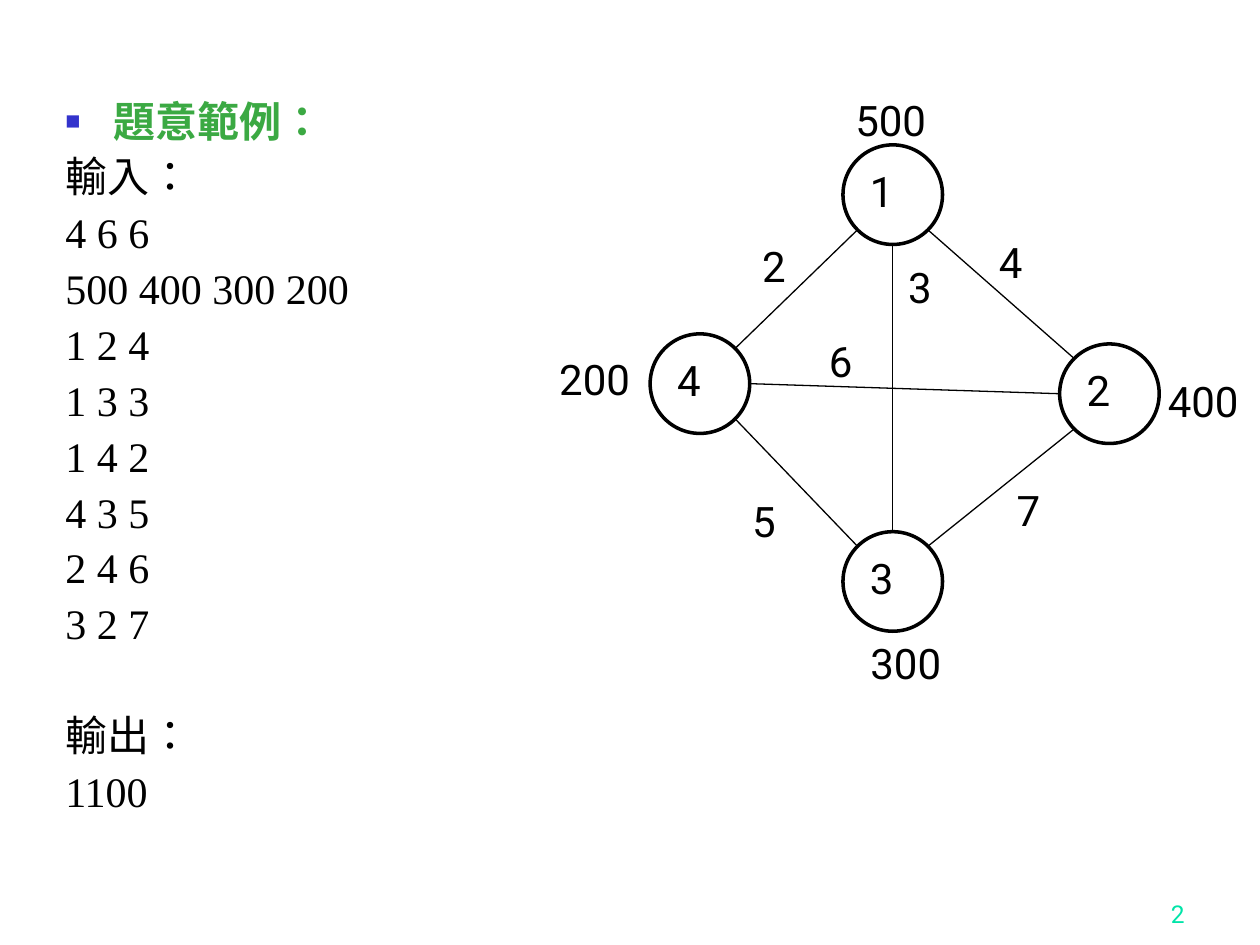
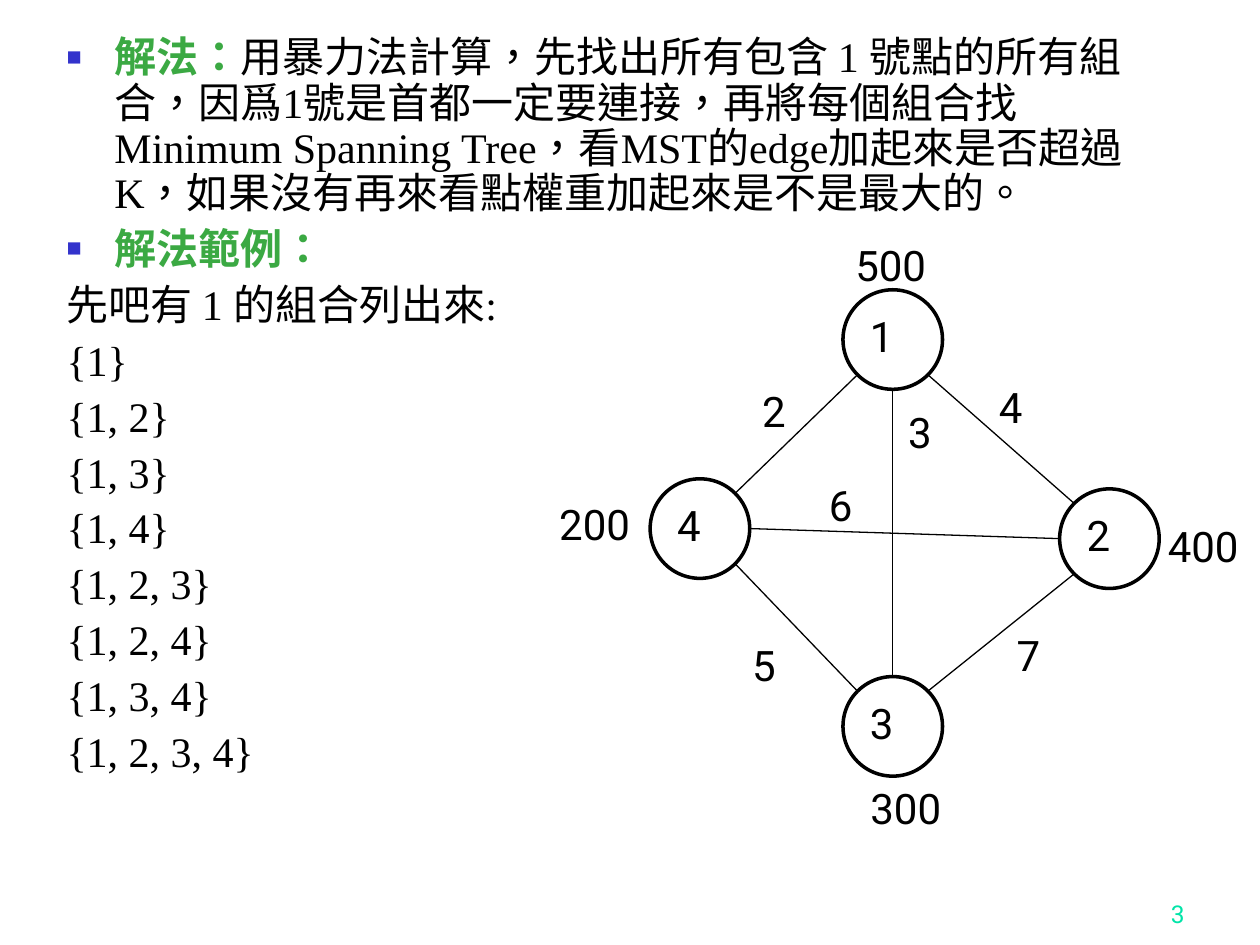
"""Build two slides that explain a weighted graph problem with an example."""
from dataclasses import dataclass

from lxml.etree import SubElement
from pptx import Presentation
from pptx.dml.color import RGBColor
from pptx.enum.lang import MSO_LANGUAGE_ID
from pptx.enum.shapes import MSO_CONNECTOR, MSO_SHAPE
from pptx.enum.text import MSO_ANCHOR, PP_ALIGN
from pptx.oxml.ns import qn
from pptx.util import Inches, Pt


@dataclass(frozen=True)
class Theme:
    ink: str = "000000"
    paper: str = "FFFFFF"
    heading: str = "3BA943"
    bullet: str = "3333CC"
    number: str = "00E4A8"
    body_font: str = "Times New Roman"
    label_font: str = "Roboto"
    text_size: int = 24
    number_size: int = 14
    node_line: float = 2
    edge_line: float = 0.75


theme = Theme()


def add_span(para, text, color=theme.ink, font=theme.label_font, size=theme.text_size, bold=False,
             align=PP_ALIGN.LEFT):
    para.alignment = align
    span = para.add_run()
    span.text = text
    span.font.name = font
    span.font.size = Pt(size)
    span.font.bold = bold
    span.font.color.rgb = RGBColor.from_string(color)
    span.font.language_id = MSO_LANGUAGE_ID.TRADITIONAL_CHINESE


def add_box(page, left, top, width, height):
    box = page.shapes.add_textbox(Inches(left), Inches(top), Inches(width), Inches(height))
    box.text_frame.word_wrap = True
    return box


slides = [
    {
        "number": "2",
        "body": (0.42, 0.75, 8.83, 6.15),
        "graph_top": 0.7,
        "lines": [
            ("題意範例：", ""),
            *[("", line) for line in (
                "輸入：", "4 6 6", "500 400 300 200", "1 2 4", "1 3 3", "1 4 2",
                "4 3 5", "2 4 6", "3 2 7", "輸出：", "1100")],
        ],
    },
    {
        "number": "3",
        "body": (0.43, 0.24, 8.82, 6.66),
        "graph_top": 1.85,
        "lines": [
            ("解法：", "用暴力法計算，先找出所有包含 1 號點的所有組合，因爲1號是首都一定要連接，"
                     "再將每個組合找Minimum Spanning Tree，看MST的edge加起來是否超過 K，"
                     "如果沒有再來看點權重加起來是不是最大的。"),
            ("解法範例：", ""),
            *[("", line) for line in (
                "先吧有 1 的組合列出來:", "{1}", "{1, 2}", "{1, 3}", "{1, 4}",
                "{1, 2, 3}", "{1, 2, 4}", "{1, 3, 4}", "{1, 2, 3, 4}")],
        ],
    },
]

indent = 0.38
line_gap = 6
section_gap = 38
node_size = 0.79
diagonal = 0.71
nodes = {"1": (6.69, 0.45), "4": (5.16, 1.95), "3": (6.69, 3.52), "2": (8.41, 2.03)}
edges = [
    ("1", (diagonal, diagonal), "2"),
    ("1", (0, 1), "3"),
    ("1", (-diagonal, diagonal), "4"),
    ("4", (diagonal, diagonal), "3"),
    ("2", (-1, 0), "4"),
    ("3", (diagonal, -diagonal), "2"),
]
labels = [
    ("500", 6.69, 0, 1), ("200", 4.34, 2.06, 1), ("300", 6.81, 4.31, 1), ("400", 9.17, 2.23, 1),
    ("4", 7.83, 1.13, 1), ("2", 5.95, 1.16, 0.49), ("5", 5.87, 3.18, 0.49),
    ("6", 6.48, 1.91, 0.49), ("3", 7.11, 1.33, 0.49), ("7", 7.97, 3.1, 0.49),
]

deck = Presentation()
deck.slide_width = Inches(10)
deck.slide_height = Inches(7.5)

for content in slides:
    page = deck.slides.add_slide(deck.slide_layouts[6])
    page.background.fill.solid()
    page.background.fill.fore_color.rgb = RGBColor.from_string(theme.paper)

    number_box = add_box(page, 7.42, 6.92, 2.08, 0.5)
    number_box.text_frame.vertical_anchor = MSO_ANCHOR.BOTTOM
    add_span(number_box.text_frame.paragraphs[0], content["number"], color=theme.number,
             size=theme.number_size, align=PP_ALIGN.RIGHT)

    body = add_box(page, *content["body"]).text_frame
    for position, (heading, text) in enumerate(content["lines"]):
        para = body.add_paragraph() if position else body.paragraphs[0]
        para.line_spacing = 0.9
        if position:
            para.space_before = Pt(section_gap if text == "輸出：" else line_gap)
        settings = para._p.get_or_add_pPr()
        settings.set("marL", str(Inches(indent)))
        settings.set("indent", str(-Inches(indent)))
        if heading:
            bullet_color = SubElement(settings, qn("a:buClr"))
            SubElement(bullet_color, qn("a:srgbClr"), val=theme.bullet)
            SubElement(settings, qn("a:buSzPct"), val="60000")
            SubElement(settings, qn("a:buFont"), typeface=theme.body_font)
            SubElement(settings, qn("a:buChar"), char="■")
            add_span(para, heading, color=theme.heading, font=theme.body_font, bold=True)
        if text:
            add_span(para, text, font=theme.body_font)

    graph_top = content["graph_top"]
    for name, (left, top) in nodes.items():
        node = page.shapes.add_shape(MSO_SHAPE.OVAL, Inches(left), Inches(graph_top + top),
                                     Inches(node_size), Inches(node_size))
        node.shadow.inherit = False
        node.fill.solid()
        node.fill.fore_color.rgb = RGBColor.from_string(theme.paper)
        node.line.color.rgb = RGBColor.from_string(theme.ink)
        node.line.width = Pt(theme.node_line)
        node.text_frame.word_wrap = False
        node.text_frame.vertical_anchor = MSO_ANCHOR.TOP
        add_span(node.text_frame.paragraphs[0], name)

    radius = node_size / 2
    for start, (across, down), end in edges:
        start_left, start_top = nodes[start]
        end_left, end_top = nodes[end]
        edge = page.shapes.add_connector(
            MSO_CONNECTOR.STRAIGHT,
            Inches(start_left + radius * (1 + across)),
            Inches(graph_top + start_top + radius * (1 + down)),
            Inches(end_left + radius * (1 - across)),
            Inches(graph_top + end_top + radius * (1 - down)))
        edge.line.color.rgb = RGBColor.from_string(theme.ink)
        edge.line.width = Pt(theme.edge_line)
        SubElement(edge._element.spPr, qn("a:effectLst"))

    for text, left, top, width in labels:
        label = add_box(page, left, graph_top + top, width, 0.5)
        add_span(label.text_frame.paragraphs[0], text)

deck.save("out.pptx")
